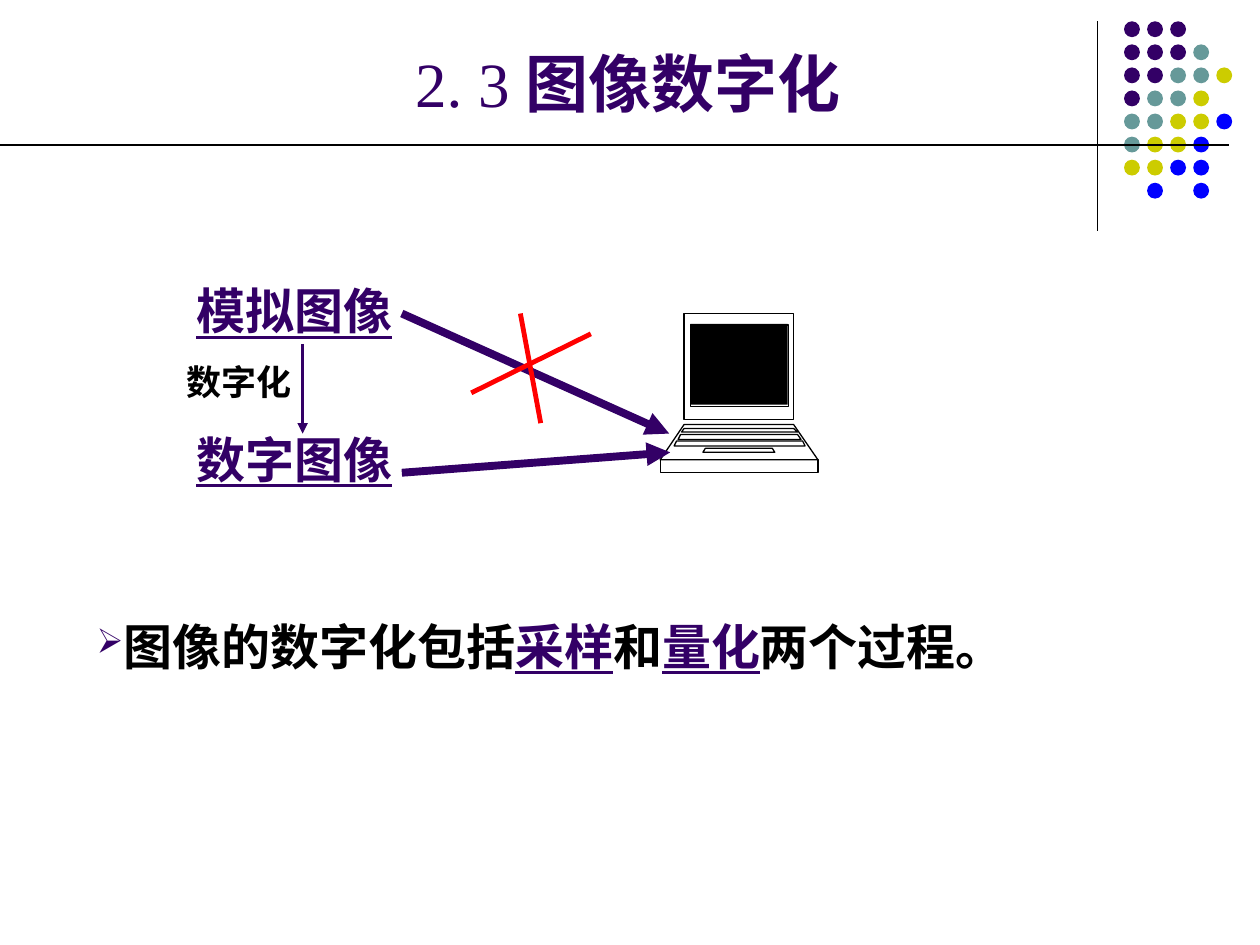
from lxml import etree
from pptx import Presentation
from pptx.dml.color import RGBColor
from pptx.enum.shapes import MSO_CONNECTOR, MSO_SHAPE
from pptx.enum.text import MSO_ANCHOR, PP_ALIGN
from pptx.oxml.ns import qn
from pptx.util import Cm, Pt

STRAIGHT = MSO_CONNECTOR.STRAIGHT
OVAL, RECT = MSO_SHAPE.OVAL, MSO_SHAPE.RECTANGLE
TOP, MIDDLE = MSO_ANCHOR.TOP, MSO_ANCHOR.MIDDLE
LEFT, CENTER = PP_ALIGN.LEFT, PP_ALIGN.CENTER

PURPLE, BLACK, WHITE, RED = "330066", "000000", "FFFFFF", "FF0000"
CJK, SERIF, SANS = "Noto Sans CJK SC", "Times New Roman", "Arial"

# Content; all lengths in cm
DOT_COLORS = {"P": PURPLE, "T": "669999", "Y": "CCCC00", "B": "0000FF"}
DOT_ROWS = ["PPP", "PPPT", "PPTTY", "PTTY", "TTYYB", "TYYB", "YYBB", " B B"]
DOT_LEFT, DOT_TOP, DOT_PITCH, DOT_SIZE = 22.66, 0.43, 0.465, 0.32

# x1, y1, x2, y2, colour, width in points, arrowhead
RULES = [
    (22.12, 0.43, 22.12, 4.65, BLACK, 0.75, False),
    (0, 2.92, 24.77, 2.92, BLACK, 1, False),
]
DIAGRAM_LINES = [
    (8.1, 9.53, 13.51, 9.12, PURPLE, 4.5, True),
    (8.1, 6.32, 13.49, 8.74, PURPLE, 4.5, True),
    (11.91, 6.73, 9.5, 7.92, RED, 2.75, False),
    (10.49, 6.32, 10.9, 8.53, RED, 2.75, False),
    (6.1, 6.93, 6.1, 8.74, PURPLE, 1.75, True),
]

# Computer outline as trapezoids: top y, left, right, then bottom y, left, right
COMPUTER = [
    (6.32, 13.79, 16.0, 8.46, 13.79, 16.0),    # monitor
    (8.56, 13.79, 16.0, 9.27, 13.31, 16.49),   # keyboard deck
    (9.27, 13.31, 16.49, 9.53, 13.31, 16.49),  # front edge
    (6.55, 13.92, 15.9, 8.2, 13.92, 15.9),     # bezel
    (8.64, 13.79, 16.0, 8.71, 13.74, 16.08),   # key rows
    (8.76, 13.72, 16.08, 8.86, 13.67, 16.15),
    (8.89, 13.64, 16.18, 8.99, 13.59, 16.23),
    (9.04, 14.22, 15.57, 9.12, 14.17, 15.62),  # space bar
]
SCREEN = (13.92, 6.53, 1.96, 1.63)

# Runs are (text, colour, bold, underline)
TITLE = [("2. 3 ", PURPLE, False, False), ("图像数字化", PURPLE, True, False)]
ANALOG = [("模拟图像", PURPLE, True, True)]
DIGITAL = [("数字图像", PURPLE, True, True)]
STEP = [("数字化", BLACK, True, False)]
BODY = [
    ("图像的数字化包括", BLACK, True, False),
    ("采样", PURPLE, True, True),
    ("和", BLACK, True, False),
    ("量化", PURPLE, True, True),
    ("两个过程。", BLACK, True, False),
]


def rgb(value):
    return RGBColor.from_string(value)


def add_line(x1, y1, x2, y2, color, width, arrow):
    c = s.shapes.add_connector(STRAIGHT, Cm(x1), Cm(y1), Cm(x2), Cm(y2))
    c.line.color.rgb = rgb(color)
    c.line.width = Pt(width)
    sp_pr = c.line._get_or_add_ln().getparent()
    if arrow:
        etree.SubElement(sp_pr.find(qn("a:ln")), qn("a:tailEnd"), type="triangle")
    etree.SubElement(sp_pr, qn("a:effectLst"))


def add_solid(shapes, kind, box, color):
    sp = shapes.add_shape(kind, *map(Cm, box))
    sp.shadow.inherit = False
    sp.fill.solid()
    sp.fill.fore_color.rgb = rgb(color)
    sp.line.fill.background()


def add_text(box, runs, size, font, wrap=True, align=LEFT, anchor=TOP, bullet=None):
    tf = s.shapes.add_textbox(*map(Cm, box)).text_frame
    tf.word_wrap = wrap
    tf.vertical_anchor = anchor
    p = tf.paragraphs[0]
    p.alignment = align
    if bullet:
        p_pr = p._p.get_or_add_pPr()
        color = etree.SubElement(p_pr, qn("a:buClr"))
        etree.SubElement(color, qn("a:srgbClr"), val=PURPLE)
        etree.SubElement(p_pr, qn("a:buSzPct"), val="70000")
        etree.SubElement(p_pr, qn("a:buChar"), char=bullet)
    p.font.size = Pt(size)
    p.font.name = font
    etree.SubElement(p._p.pPr.find(qn("a:defRPr")), qn("a:ea"), typeface=CJK)
    for text, color, bold, underline in runs:
        r = p.add_run()
        r.text = text
        r.font.color.rgb = rgb(color)
        r.font.bold = bold
        r.font.underline = underline
    return tf


prs = Presentation()
prs.slide_width, prs.slide_height = Cm(25.4), Cm(19.05)
s = prs.slides.add_slide(prs.slide_layouts[6])

# Corner dots and rules
dots = s.shapes.add_group_shape()
for row, codes in enumerate(DOT_ROWS):
    for col, code in enumerate(codes):
        if code in DOT_COLORS:
            add_solid(dots.shapes, OVAL,
                      (DOT_LEFT + col * DOT_PITCH, DOT_TOP + row * DOT_PITCH,
                       DOT_SIZE, DOT_SIZE), DOT_COLORS[code])
for rule in RULES:
    add_line(*rule)

# Body text
tf = add_text((1.7, 10.92, 22.2, 4.57), BODY, 28, CJK, bullet="➢")
tf.margin_top = Cm(1.5)

# Computer
computer = s.shapes.add_group_shape()
builder = None
for y1, l1, r1, y2, l2, r2 in COMPUTER:
    start, *rest = [(Cm(x), Cm(y)) for x, y in
                    ((l1, y1), (r1, y1), (r2, y2), (l2, y2))]
    if builder is None:
        builder = computer.shapes.build_freeform(*start)
    else:
        builder.move_to(*start)
    builder.add_line_segments(rest, close=True)
sp = builder.convert_to_shape()
sp.shadow.inherit = False
sp.fill.solid()
sp.fill.fore_color.rgb = rgb(WHITE)
sp.line.color.rgb = rgb(BLACK)
sp.line.width = Pt(0.75)
add_solid(computer.shapes, RECT, SCREEN, BLACK)

# Diagram labels and arrows
add_text((3.71, 5.54, 4.47, 1.45), ANALOG, 28, CJK, wrap=False)
add_text((3.71, 8.53, 4.47, 1.45), DIGITAL, 28, CJK, wrap=False)
for line in DIAGRAM_LINES:
    add_line(*line)
add_text((3.51, 7.14, 3.61, 1.09), STEP, 20, SANS)

# Title
add_text((6.05, 0.48, 13.21, 2.34), TITLE, 36, SERIF, align=CENTER, anchor=MIDDLE)

prs.save("out.pptx")
